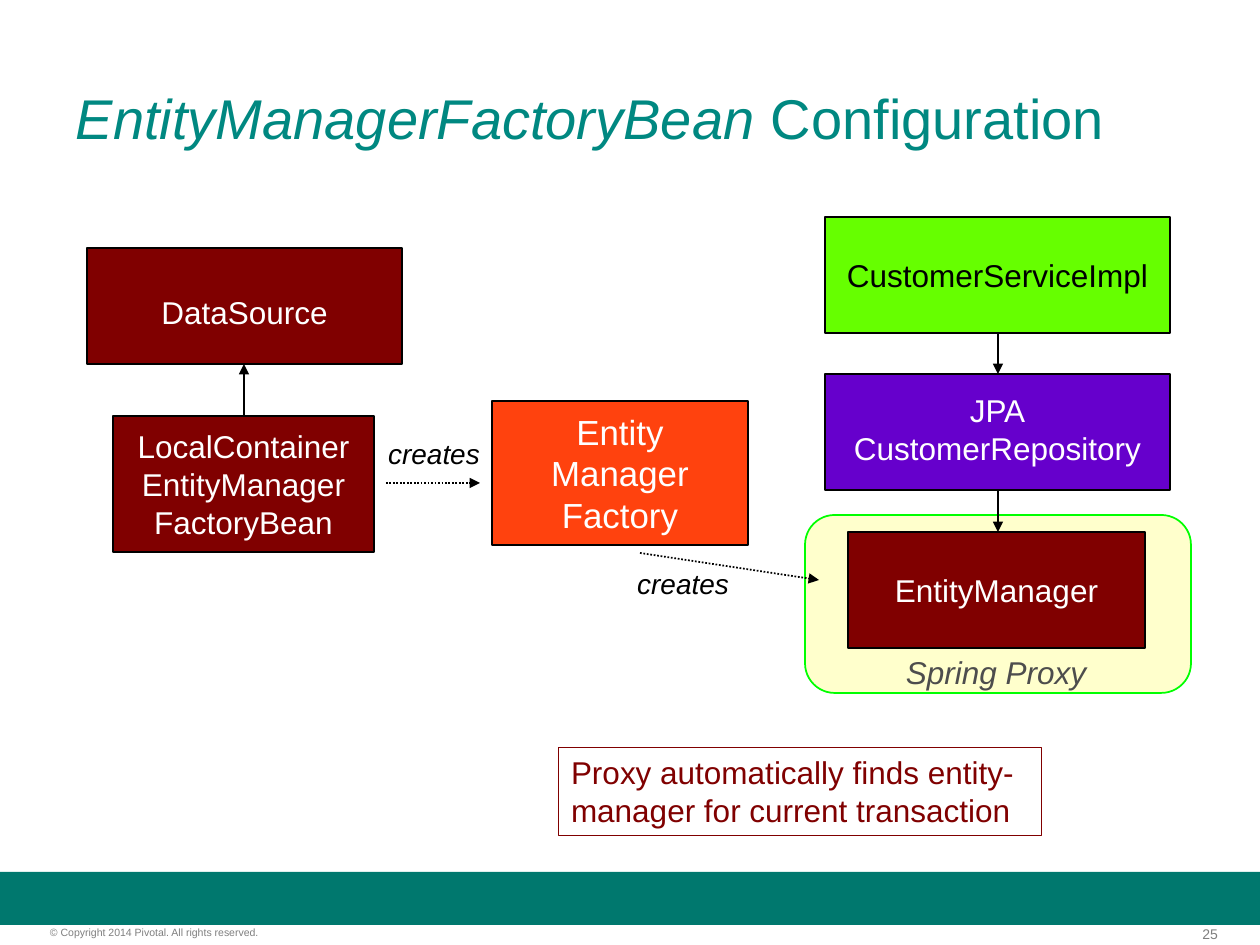
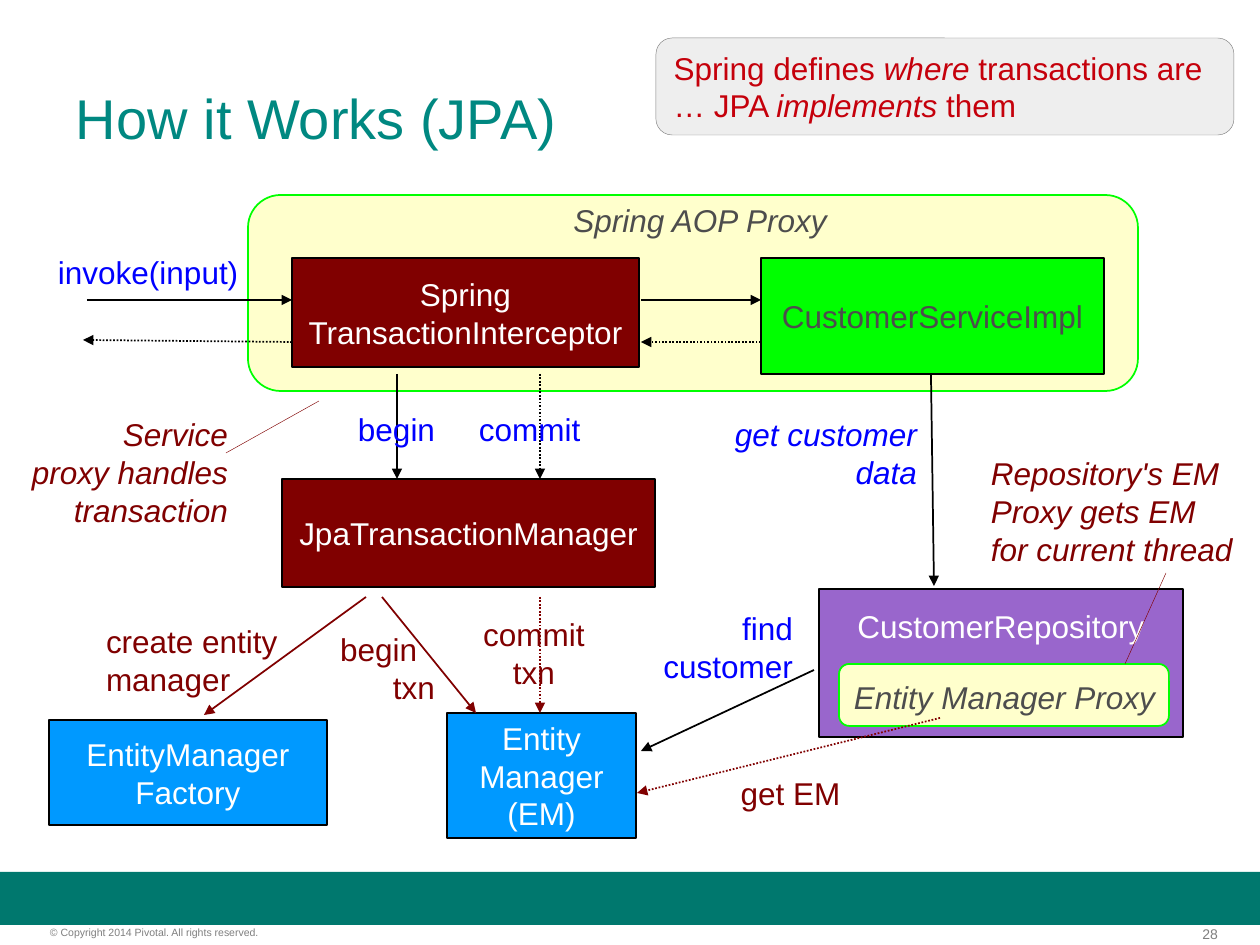
from lxml import etree
from pptx import Presentation
from pptx.dml.color import RGBColor
from pptx.enum.dml import MSO_LINE
from pptx.enum.shapes import MSO_CONNECTOR, MSO_SHAPE
from pptx.enum.text import MSO_ANCHOR, MSO_AUTO_SIZE, PP_ALIGN
from pptx.oxml.ns import qn
from pptx.util import Pt

RECT, ROUND = MSO_SHAPE.RECTANGLE, MSO_SHAPE.ROUNDED_RECTANGLE
LEFT, CENTER, RIGHT = PP_ALIGN.LEFT, PP_ALIGN.CENTER, PP_ALIGN.RIGHT
TOP, MIDDLE = MSO_ANCHOR.TOP, MSO_ANCHOR.MIDDLE
STRAIGHT, DOTTED = MSO_CONNECTOR.STRAIGHT, MSO_LINE.ROUND_DOT
NO_AUTOFIT = MSO_AUTO_SIZE.NONE

FONT = "Arial"
BLACK, WHITE, GRAY, FOOTER = "000000", "FFFFFF", "4D4D4D", "7F7F7F"
MAROON, BLUE, TEAL, BAND = "800000", "0000FF", "008881", "00786E"
HAIRLINE = 0.25


def px(*lengths):
    return [round(length * 914400 / 126) for length in lengths]


def write(frame, text, size, color, align, anchor, wrap=True, inset=(13, 6), shift=0):
    frame.word_wrap = wrap
    frame.auto_size = NO_AUTOFIT
    frame.vertical_anchor = anchor
    side, edge = inset
    frame.margin_left, frame.margin_right = px(side, side)
    frame.margin_top, frame.margin_bottom = px(
        edge + max(0, 2 * shift), edge + max(0, -2 * shift))
    frame.text = text.replace("*", "")
    for paragraph, line in zip(frame.paragraphs, text.split("\n")):
        paragraph.alignment = align
        if "*" in line:
            paragraph.clear()
            for position, piece in enumerate(line.split("*")):
                if piece:
                    run = paragraph.add_run()
                    run.text = piece
                    run.font.italic = position % 2 == 1
        for run in paragraph.runs:
            run.font.name = FONT
            run.font.size = Pt(size)
            run.font.color.rgb = RGBColor.from_string(color)


STYLES = {
    "proxy": (ROUND, "FFFFCC", "00FF00", 1, GRAY, 18, CENTER),
    "bean": (RECT, MAROON, BLACK, 1, WHITE, 18, CENTER),
    "service": (RECT, "66FF00", BLACK, 1, BLACK, 18, CENTER),
    "proxied service": (RECT, "00FF00", BLACK, 1, GRAY, 18, CENTER),
    "repository": (RECT, "6600CC", BLACK, 1, WHITE, 18, CENTER),
    "data access": (RECT, "9966CC", BLACK, 1, WHITE, 18, CENTER),
    "factory": (RECT, "FF420E", BLACK, 1, WHITE, 19.9, CENTER),
    "entity": (RECT, "0099FF", BLACK, 1, WHITE, 18, CENTER),
    "note": (RECT, WHITE, MAROON, HAIRLINE, MAROON, 18, LEFT),
    "summary": (ROUND, "EEEEEE", "808080", HAIRLINE, "C5000B", 18, LEFT),
}

LINKS = {
    "call": (1, False, True),
    "return": (1, True, True),
    "pointer": (HAIRLINE, False, False),
}

configuration = {
    "title": "*EntityManagerFactoryBean* Configuration",
    "number": "25",
    "boxes": [
        ("proxy", 805, 515, 386, 178, "", 0),
        ("service", 825, 217, 345, 116, "CustomerServiceImpl", 0),
        ("repository", 825, 374, 345, 116, "JPA\nCustomerRepository", -3),
        ("bean", 848, 532, 297, 116, "EntityManager", 0),
        ("bean", 87, 248, 315, 116, "DataSource", 6),
        ("bean", 113, 416, 261, 136, "LocalContainer\nEntityManager\nFactoryBean", 0),
        ("factory", 492, 401, 256, 144, "Entity Manager Factory", 0),
        ("note", 558, 747, 483, 88,
         "Proxy automatically finds entity-manager for current transaction", 0),
    ],
    "links": [
        ("call", 998, 490, 998, 532, BLACK),
        ("call", 998, 333, 998, 374, BLACK),
        ("call", 244, 416, 244, 364, BLACK),
        ("return", 386, 483, 480, 483, BLACK),
        ("return", 640, 553, 819, 580, BLACK),
    ],
    "labels": [
        (355, 431, 158, 47, "*creates*", 16, BLACK, CENTER),
        (604, 561, 158, 47, "*creates*", 16, BLACK, CENTER),
        (791, 647, 410, 50, "*Spring Proxy*", 18, GRAY, CENTER),
    ],
}

how_it_works = {
    "title": "How it Works (JPA)",
    "number": "28",
    "boxes": [
        ("proxy", 248, 195, 890, 196, "", 0),
        ("entity", 447, 713, 189, 125, "Entity\nManager (EM)", 0),
        ("proxied service", 761, 258, 343, 116, "CustomerServiceImpl", 0),
        ("bean", 292, 258, 347, 109, "Spring\nTransactionInterceptor", 0),
        ("bean", 282, 479, 373, 108, "JpaTransactionManager", 0),
        ("data access", 819, 589, 364, 148, "CustomerRepository", -37),
        ("proxy", 839, 664, 330, 62, "", 0),
        ("entity", 49, 720, 278, 105, "EntityManager\nFactory", 0),
        ("summary", 656, 38, 578, 97,
         "Spring defines *where* transactions are\n… JPA *implements* them", 0),
    ],
    "links": [
        ("call", 931, 374, 934, 586, BLACK),
        ("call", 87, 300, 292, 300, BLACK),
        ("call", 641, 300, 761, 300, BLACK),
        ("return", 761, 342, 641, 342, BLACK),
        ("return", 292, 342, 83, 340, BLACK),
        ("call", 397, 374, 397, 479, BLACK),
        ("return", 540, 374, 540, 479, BLACK),
        ("call", 366, 597, 204, 715, MAROON),
        ("call", 382, 597, 476, 713, MAROON),
        ("return", 540, 597, 540, 713, MAROON),
        ("return", 940, 718, 637, 793, MAROON),
        ("call", 814, 670, 641, 751, BLACK),
        ("pointer", 319, 401, 226, 453, MAROON),
        ("pointer", 1166, 573, 1125, 664, MAROON),
    ],
    "labels": [
        (45, 247, 205, 50, "invoke(input)", 18, BLUE, LEFT),
        (345, 404, 102, 50, "begin", 18, BLUE, LEFT),
        (466, 404, 126, 50, "commit", 18, BLUE, LEFT),
        (495, 195, 410, 50, "*Spring AOP Proxy*", 18, GRAY, CENTER),
        (723, 409, 207, 88, "*get customer*\n*data*", 18, BLUE, RIGHT),
        (327, 624, 120, 94, "begin\ntxn", 18, MAROON, LEFT),
        (648, 603, 158, 88, "find\ncustomer", 18, BLUE, RIGHT),
        (20, 409, 221, 126, "*Service*\n*proxy handles*\n*transaction*", 18, MAROON, RIGHT),
        (978, 448, 267, 126,
         "*Repository's EM*\n*Proxy gets EM*\n*for current thread*", 18, MAROON, LEFT),
        (838, 672, 333, 50, "*Entity Manager Proxy*", 18, GRAY, CENTER),
        (93, 616, 197, 94, "create entity\nmanager", 18, MAROON, LEFT),
        (471, 609, 126, 88, "commit\ntxn", 18, MAROON, CENTER),
        (728, 768, 125, 50, "get EM", 18, MAROON, CENTER),
    ],
}

deck = Presentation()
deck.slide_width, deck.slide_height = px(1260, 945)
title_only = deck.slide_layouts[5]
label_frames = {}

for content in (configuration, how_it_works):
    slide = deck.slides.add_slide(title_only)
    shapes = slide.shapes

    title = shapes.title
    title.left, title.top, title.width, title.height = px(63, 38, 1134, 158)
    write(title.text_frame, content["title"], 32, TEAL, LEFT, MIDDLE)

    band = shapes.add_shape(RECT, *px(0, 872, 1260, 53))
    band.shadow.inherit = False
    band.fill.solid()
    band.fill.fore_color.rgb = RGBColor.from_string(BAND)
    band.line.fill.background()

    copyright_line = shapes.add_textbox(*px(50, 926, 314, 13))
    write(copyright_line.text_frame, "© Copyright 2014 Pivotal. All rights reserved.",
          6, FOOTER, LEFT, TOP, inset=(0, 0))
    page_number = shapes.add_textbox(*px(1145, 926, 73, 16))
    write(page_number.text_frame, content["number"], 8, FOOTER, RIGHT, TOP, inset=(0, 0))

    for style, x, y, width, height, text, shift in content["boxes"]:
        outline, fill, edge, edge_width, color, size, align = STYLES[style]
        box = shapes.add_shape(outline, *px(x, y, width, height))
        box.shadow.inherit = False
        box.fill.solid()
        box.fill.fore_color.rgb = RGBColor.from_string(fill)
        box.line.color.rgb = RGBColor.from_string(edge)
        box.line.width = Pt(edge_width)
        if text:
            write(box.text_frame, text, size, color, align, MIDDLE, shift=shift)

    for style, x1, y1, x2, y2, color in content["links"]:
        line_width, dotted, arrow = LINKS[style]
        link = shapes.add_connector(STRAIGHT, *px(x1, y1, x2, y2))
        link.line.color.rgb = RGBColor.from_string(color)
        link.line.width = Pt(line_width)
        if dotted:
            link.line.dash_style = DOTTED
        properties = link._element.spPr
        if arrow:
            etree.SubElement(properties.find(qn("a:ln")), qn("a:tailEnd"), type="triangle")
        etree.SubElement(properties, qn("a:effectLst"))

    for x, y, width, height, text, size, color, align in content["labels"]:
        label = shapes.add_textbox(*px(x, y, width, height))
        write(label.text_frame, text, size, color, align, TOP, wrap=False)
        label_frames[text] = label.text_frame

txn_line = label_frames["begin\ntxn"].paragraphs[1]
txn_line._p.get_or_add_pPr().set("marL", str(px(53)[0]))

deck.save("out.pptx")
